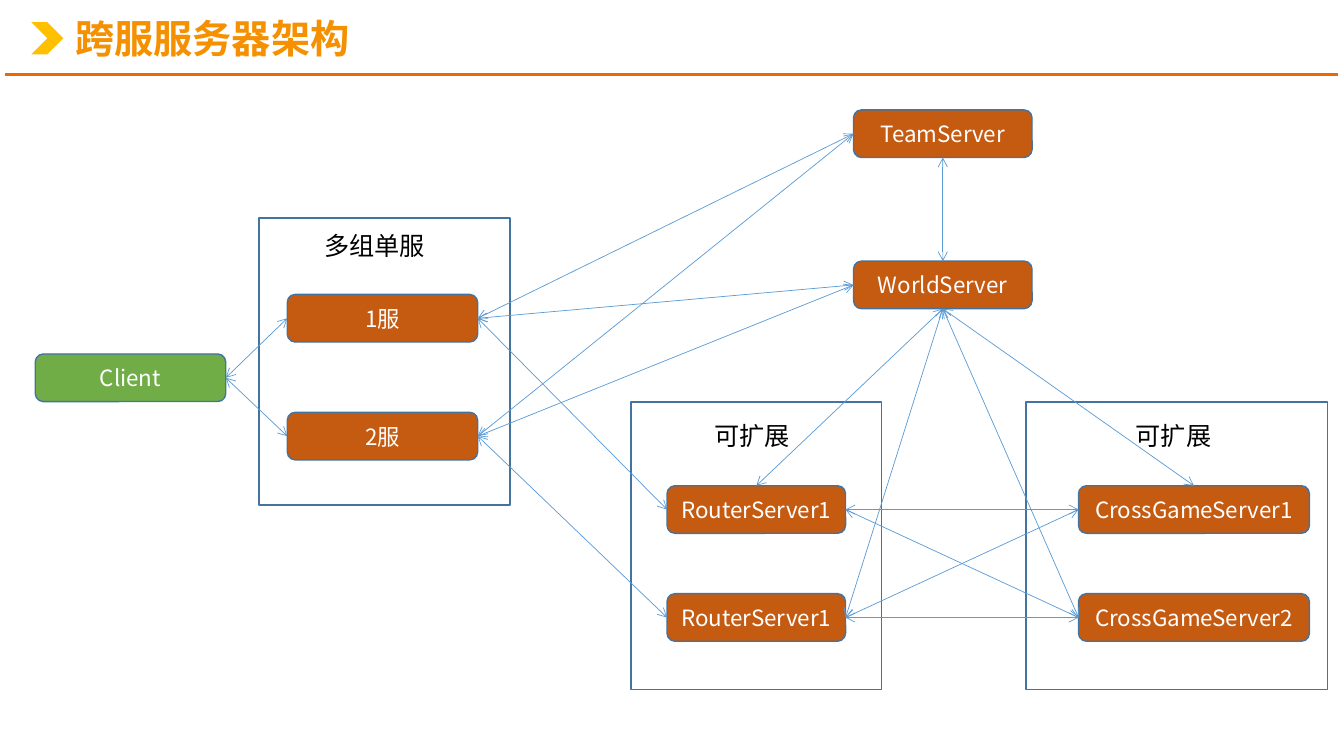
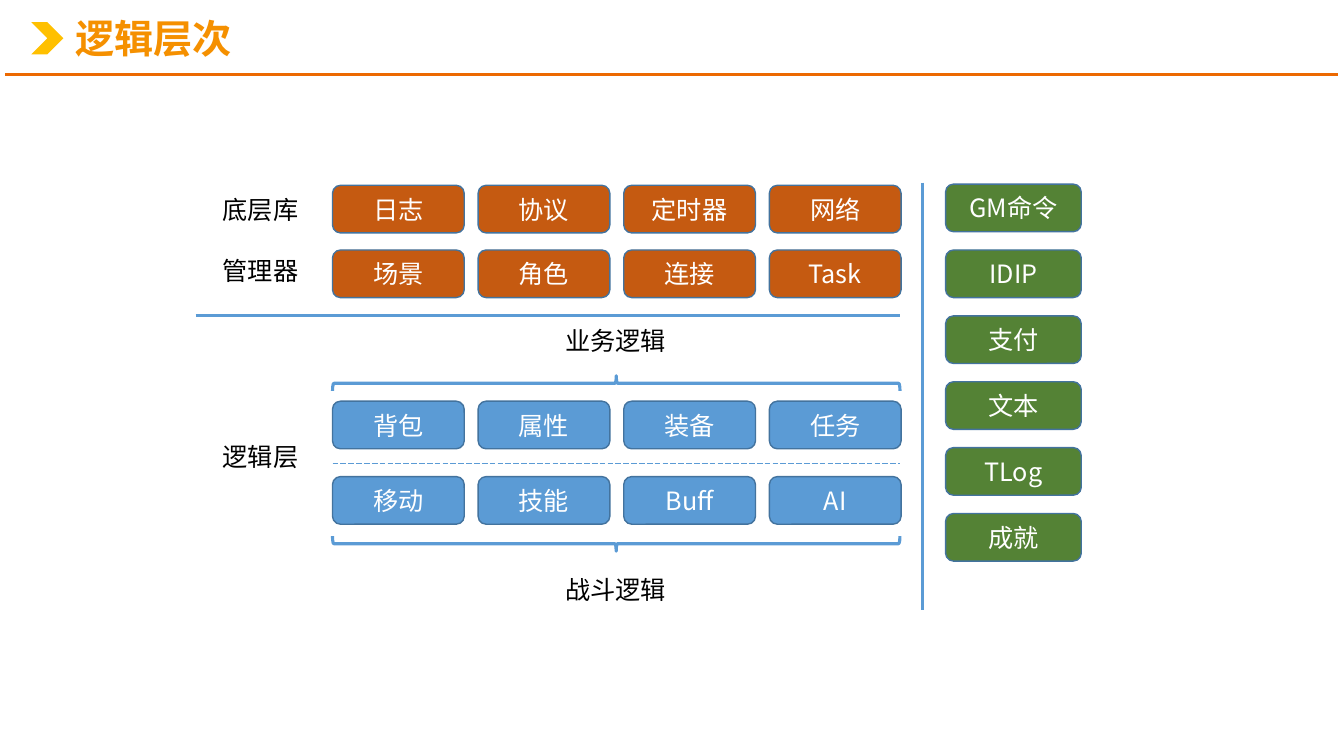
from dataclasses import dataclass

from lxml import etree
from pptx import Presentation
from pptx.dml.color import RGBColor
from pptx.enum.dml import MSO_LINE
from pptx.enum.shapes import MSO_CONNECTOR, MSO_SHAPE
from pptx.enum.text import MSO_ANCHOR, PP_ALIGN
from pptx.oxml.ns import qn
from pptx.util import Cm, Pt

LEFT, CENTER = PP_ALIGN.LEFT, PP_ALIGN.CENTER
TOP, MIDDLE = MSO_ANCHOR.TOP, MSO_ANCHOR.MIDDLE
ROUND, RECT = MSO_SHAPE.ROUNDED_RECTANGLE, MSO_SHAPE.RECTANGLE
CHEVRON, BRACE = MSO_SHAPE.CHEVRON, MSO_SHAPE.LEFT_BRACE
STRAIGHT = MSO_CONNECTOR.STRAIGHT
LONG_DASH = MSO_LINE.LONG_DASH
SIDE_TOP, SIDE_LEFT, SIDE_BOTTOM, SIDE_RIGHT = range(4)

COLORS = {
    "title": "F59000", "rule": "EC6901", "chevron": "FFC000",
    "white": "FFFFFF", "black": "000000", "outline": "43739E",
    "blue": "5B9BD5", "orange": "C55A11", "green": "70AD47",
    "dark_green": "548235",
}
CJK, LATIN = "Noto Sans CJK SC", "Calibri"
BOX_H = 1.2
LABEL_H = 1.02


@dataclass(frozen=True)
class Area:
    """Place and size in centimetres."""
    x: float
    y: float
    w: float
    h: float = BOX_H


@dataclass(frozen=True)
class Server:
    key: str
    text: str
    area: Area
    fill: str = "orange"


@dataclass(frozen=True)
class Link:
    start: str
    start_side: int
    end: str
    end_side: int


@dataclass(frozen=True)
class Label:
    text: str
    area: Area


# Shared drawing functions
def rgb(name: str) -> RGBColor:
    return RGBColor.from_string(COLORS[name])


def write_text(sp, text: str, *, size=18, color="black", font=CJK, bold=False,
               align=CENTER, anchor=TOP, spacing=1.0) -> None:
    tf = sp.text_frame
    tf.word_wrap = True
    tf.vertical_anchor = anchor
    p = tf.paragraphs[0]
    p.alignment = align
    p.line_spacing = spacing
    r = p.add_run()
    r.text = text
    r.font.size = Pt(size)
    r.font.bold = bold
    r.font.name = font
    r.font.color.rgb = rgb(color)
    ea = etree.SubElement(r.font._element, qn("a:ea"))
    ea.set("typeface", CJK)


def add_text(s, label: Label, **style) -> None:
    a = label.area
    sp = s.shapes.add_textbox(Cm(a.x), Cm(a.y), Cm(a.w), Cm(a.h))
    write_text(sp, label.text, **style)


def add_shape(s, kind, a: Area, fill=None, line=None, width=1.0, rotation=0):
    sp = s.shapes.add_shape(kind, Cm(a.x), Cm(a.y), Cm(a.w), Cm(a.h))
    sp.shadow.inherit = False
    sp.rotation = rotation
    if fill:
        sp.fill.solid()
        sp.fill.fore_color.rgb = rgb(fill)
    else:
        sp.fill.background()
    if line:
        sp.line.color.rgb = rgb(line)
        sp.line.width = Pt(width)
    else:
        sp.line.fill.background()
    return sp


def add_box(s, text: str, a: Area, fill: str, size=18):
    sp = add_shape(s, ROUND, a, fill, "outline")
    write_text(sp, text, size=size, color="white", anchor=MIDDLE)
    return sp


def add_line(s, x1=0.0, y1=0.0, x2=0.0, y2=0.0, color="blue", width=2.25, dash=None):
    c = s.shapes.add_connector(STRAIGHT, Cm(x1), Cm(y1), Cm(x2), Cm(y2))
    c.line.color.rgb = rgb(color)
    c.line.width = Pt(width)
    if dash:
        c.line.dash_style = dash
    etree.SubElement(c._element.spPr, qn("a:effectLst"))
    return c


def add_link(s, link: Link, boxes: dict) -> None:
    c = add_line(s, width=0.5)
    c.begin_connect(boxes[link.start], link.start_side)
    c.end_connect(boxes[link.end], link.end_side)
    ln = c._element.spPr.find(qn("a:ln"))
    for end in ("a:headEnd", "a:tailEnd"):
        etree.SubElement(ln, qn(end)).set("type", "arrow")


def new_slide(prs, title: str):
    s = prs.slides.add_slide(prs.slide_layouts[6])
    add_line(s, 0.13, 1.88, 33.73, 1.88, "rule", 2)
    add_shape(s, CHEVRON, Area(0.79, 0.56, 0.81, 0.81), "chevron")
    add_shape(s, CHEVRON, Area(1.3, 0.56, 0.81, 0.81), "white")
    add_text(s, Label(title, Area(1.65, 0.23, 14.25, 1.6)), size=28, color="title",
             bold=True, align=LEFT, anchor=MIDDLE, spacing=0.9)
    return s


# Server architecture
SERVERS = [
    Server("client", "Client", Area(0.89, 8.92, 4.8), "green"),
    Server("game1", "1服", Area(7.24, 7.42, 4.8)),
    Server("game2", "2服", Area(7.24, 10.39, 4.8)),
    Server("team", "TeamServer", Area(21.51, 2.77, 4.5)),
    Server("world", "WorldServer", Area(21.51, 6.58, 4.5)),
    Server("router1", "RouterServer1", Area(16.81, 12.24, 4.5)),
    Server("router2", "RouterServer1", Area(16.81, 14.96, 4.5)),
    Server("cross1", "CrossGameServer1", Area(27.18, 12.24, 5.82)),
    Server("cross2", "CrossGameServer2", Area(27.18, 14.96, 5.82)),
]
# Pairs joined from a right side to a left side
SIDEWAYS = [
    ("client", "game1"), ("client", "game2"),
    ("game1", "team"), ("game1", "world"), ("game1", "router1"),
    ("game2", "team"), ("game2", "world"), ("game2", "router2"),
    ("router1", "cross1"), ("router1", "cross2"),
    ("router2", "cross1"), ("router2", "cross2"),
]
LINKS = [Link(a, SIDE_RIGHT, b, SIDE_LEFT) for a, b in SIDEWAYS] + [
    Link("team", SIDE_BOTTOM, "world", SIDE_TOP),
    Link("router1", SIDE_TOP, "world", SIDE_BOTTOM),
    Link("router2", SIDE_RIGHT, "world", SIDE_BOTTOM),
    Link("cross1", SIDE_TOP, "world", SIDE_BOTTOM),
    Link("cross2", SIDE_LEFT, "world", SIDE_BOTTOM),
]
FRAMES = [
    Area(6.53, 5.49, 6.32, 7.24),
    Area(15.9, 10.13, 6.32, 7.24),
    Area(25.86, 10.13, 7.59, 7.24),
]
FRAME_LABELS = [
    Label("多组单服", Area(7.92, 5.69, 3.43, LABEL_H)),
    Label("可扩展", Area(17.75, 10.46, 2.59, LABEL_H)),
    Label("可扩展", Area(28.37, 10.46, 2.59, LABEL_H)),
]


def architecture_slide(prs) -> None:
    s = new_slide(prs, "跨服服务器架构")
    for frame in FRAMES:
        add_shape(s, RECT, frame, line="outline")
    boxes = {v.key: add_box(s, v.text, v.area, v.fill, size=16) for v in SERVERS}
    for link in LINKS:
        add_link(s, link, boxes)
    for label in FRAME_LABELS:
        add_text(s, label, font=LATIN, align=LEFT)


# Logic layers
@dataclass(frozen=True)
class Row:
    y: float
    fill: str
    texts: tuple[str, ...]


GRID_X, GRID_RIGHT, GRID_STEP, CELL_W = 8.38, 22.68, 3.67, 3.32
ROWS = [
    Row(4.67, "orange", ("日志", "协议", "定时器", "网络")),
    Row(6.3, "orange", ("场景", "角色", "连接", "Task")),
    Row(10.11, "blue", ("背包", "属性", "装备", "任务")),
    Row(12.01, "blue", ("移动", "技能", "Buff", "AI")),
]
TOOLS = ("GM命令", "IDIP", "支付", "文本", "TLog", "成就")
TOOL_X, TOOL_Y, TOOL_STEP, TOOL_W = 23.83, 4.64, 1.66, 3.42
LAYER_LABELS = [
    Label("底层库", Area(5.31, 4.78, 2.51, LABEL_H)),
    Label("管理器", Area(5.31, 6.3, 2.51, LABEL_H)),
    Label("逻辑层", Area(5.31, 11, 2.51, LABEL_H)),
    Label("业务逻辑", Area(13.89, 8.08, 3.25, LABEL_H)),
    Label("战斗逻辑", Area(13.89, 14.35, 3.25, LABEL_H)),
]


def layers_slide(prs) -> None:
    s = new_slide(prs, "逻辑层次")
    for row in ROWS:
        for i, text in enumerate(row.texts):
            add_box(s, text, Area(GRID_X + i * GRID_STEP, row.y, CELL_W), row.fill)
    for i, text in enumerate(TOOLS):
        add_box(s, text, Area(TOOL_X, TOOL_Y + i * TOOL_STEP, TOOL_W), "dark_green")
    for label in LAYER_LABELS:
        add_text(s, label)
    # Dividers and braces
    add_line(s, 4.93, 7.95, GRID_RIGHT, 7.95)
    add_line(s, 23.24, 4.6, 23.24, 15.37)
    add_line(s, GRID_X, 11.68, GRID_RIGHT, 11.68, width=0.5, dash=LONG_DASH)
    for y, rotation in ((2.51, 90), (6.55, 270)):
        add_shape(s, BRACE, Area(15.34, y, 0.38, 14.3), line="blue",
                  width=2.25, rotation=rotation)


def main() -> None:
    prs = Presentation()
    prs.slide_width, prs.slide_height = Cm(33.87), Cm(19.05)
    architecture_slide(prs)
    layers_slide(prs)
    prs.save("out.pptx")


if __name__ == "__main__":
    main()
